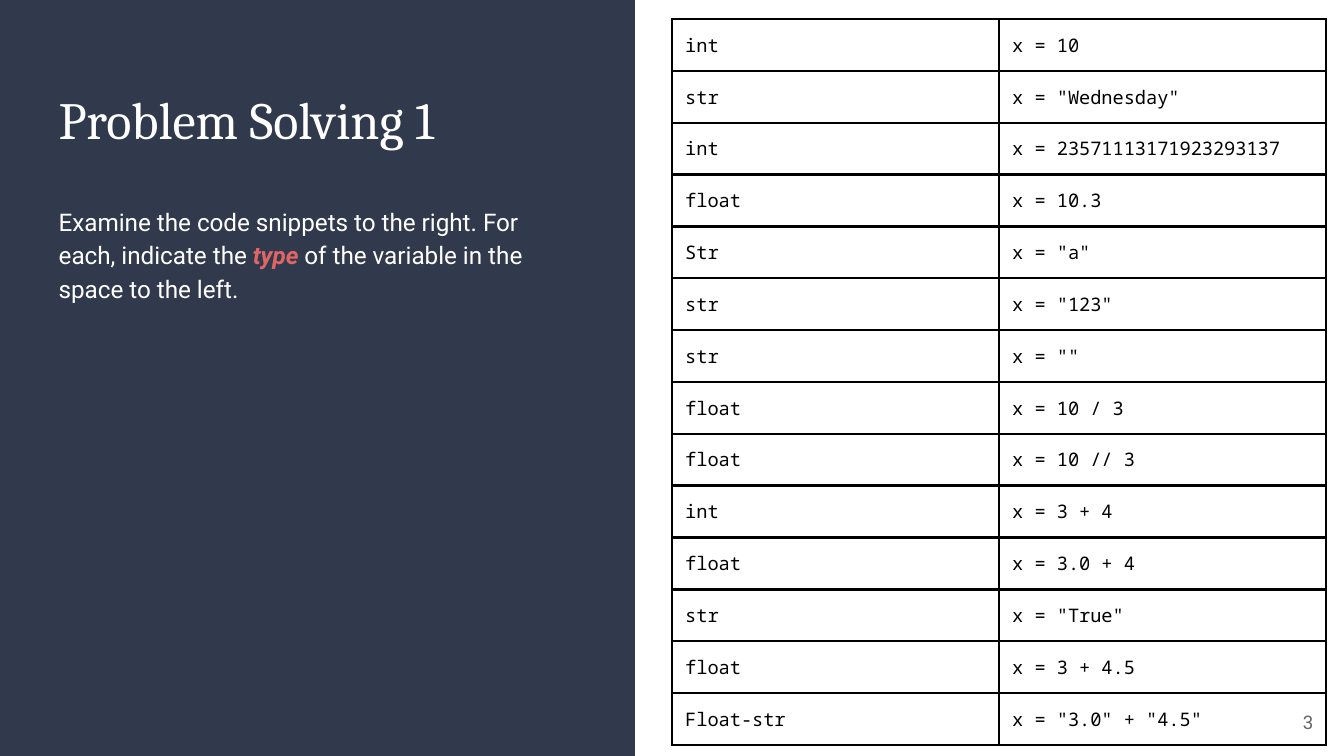
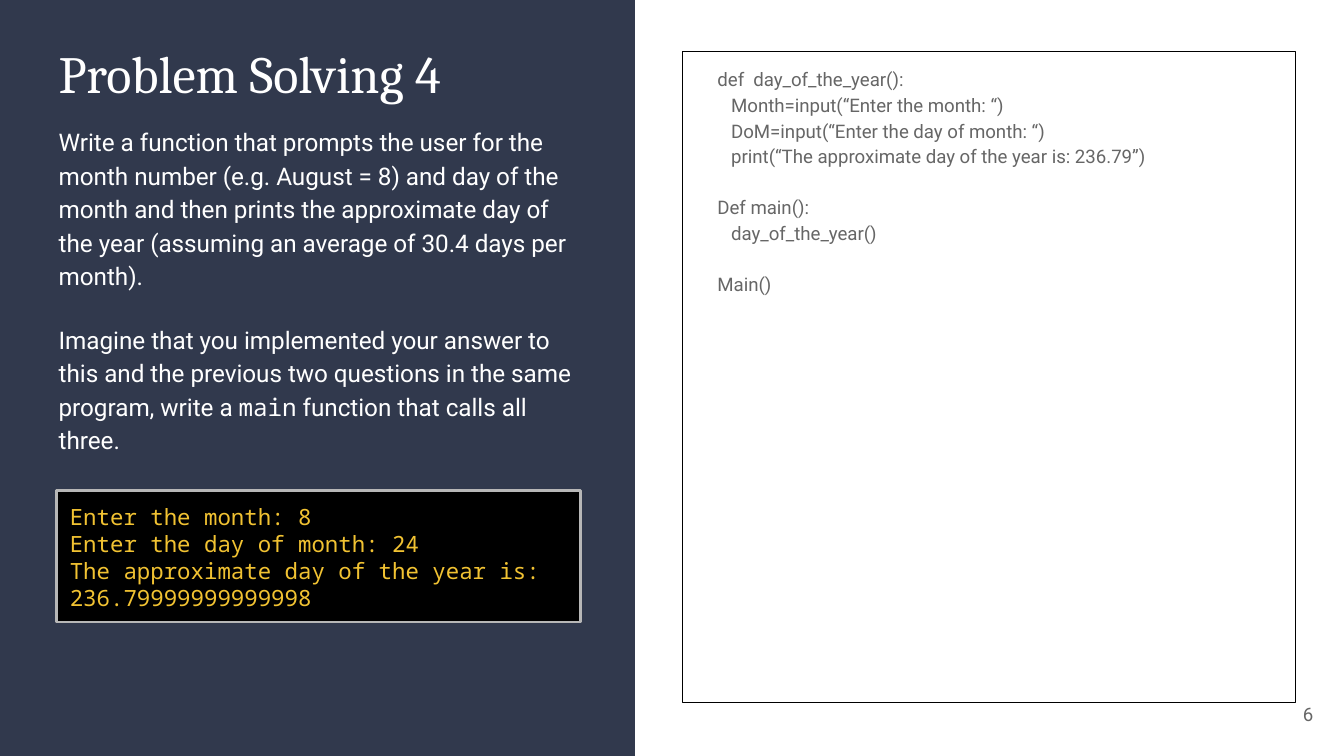
from lxml.etree import SubElement
from pptx import Presentation
from pptx.dml.color import RGBColor
from pptx.enum.shapes import MSO_SHAPE
from pptx.enum.text import MSO_ANCHOR, PP_ALIGN
from pptx.oxml.ns import qn
from pptx.util import Cm, Pt

# Content: a paragraph is a list of (text, format) spans
TYPE_TITLE = "Problem Solving 1"
TYPE_TASK = [
    ("Examine the code snippets to the right. For each, indicate the ", {}),
    ("type ", {"color": "E06666", "bold": True, "italic": True}),
    ("of the variable in the space to the left.", {}),
]
TYPE_ROWS = [
    ("int", "x = 10"),
    ("str", 'x = "Wednesday"'),
    ("int", "x = 23571113171923293137"),
    ("float", "x = 10.3"),
    ("Str", 'x = "a"'),
    ("str", 'x = "123"'),
    ("str", 'x = ""'),
    ("float", "x = 10 / 3"),
    ("float", "x = 10 // 3"),
    ("int", "x = 3 + 4"),
    ("float", "x = 3.0 + 4"),
    ("str", 'x = "True"'),
    ("float", "x = 3 + 4.5"),
    ("Float-str", 'x = "3.0" + "4.5"'),
]

DAY_TITLE = "Problem Solving 4"
DAY_TASK = [
    ("Write a function that prompts the user for the month number (e.g. August = 8) "
     "and day of the month and then prints the approximate day of the year "
     "(assuming an average of 30.4 days per month).", {}),
]
MAIN_TASK = [
    ("Imagine that you implemented your answer to this and the previous two questions "
     "in the same program, write a ", {}),
    ("main", {"font": "Noto Sans Mono"}),
    (" function that calls all three.", {}),
]
# Each block of code: (nesting level, line)
DAY_CODE = [
    [(0, "def  day_of_the_year():"),
     (1, "Month=input(“Enter the month: “)"),
     (1, "DoM=input(“Enter the day of month: “)"),
     (1, "print(“The approximate day of the year is: 236.79”)")],
    [(0, "Def main():"), (1, "day_of_the_year()")],
    [(0, "Main()")],
]
CONSOLE_LINES = [
    "Enter the month: 8",
    "Enter the day of month: 24",
    "The approximate day of the year is: 236.79999999999998",
]

# Shared style
NAVY, WHITE, BLACK, GREY, SILVER, YELLOW = (
    "31394D", "FFFFFF", "000000", "666666", "B7B7B7", "F1C232")
TITLE = {"font": "Cambria", "size": 28, "color": WHITE}
TASK = {"font": "Roboto", "size": 13, "color": WHITE, "line_spacing": 1.15}
SMALL = {"font": "Roboto", "size": 10, "color": GREY}
SNIPPET = {"font": "Noto Sans Mono", "size": 10, "color": BLACK}
CONSOLE = {"font": "Noto Sans Mono", "size": 12, "color": YELLOW}
INSET = Cm(0.25)
TEXT_LEFT, TEXT_WIDTH = 0.86, 10.29
PANEL_WIDTH = 12
CODE_MARGIN, CODE_HANGING, CODE_STEP = 1.27, -0.86, 0.26
CODE_GAP = 13.5


def rgb(value):
    return RGBColor.from_string(value)


def write(frame, content, first=True, font="Roboto", size=10, color=BLACK,
          bold=False, italic=False, align=PP_ALIGN.LEFT,
          line_spacing=None, before=0, after=0):
    """Write one paragraph, given as a string or as a list of spans."""
    para = frame.paragraphs[0] if first else frame.add_paragraph()
    para.alignment = align
    para.line_spacing = line_spacing
    para.space_before, para.space_after = Pt(before), Pt(after)
    spans = [(content, {})] if isinstance(content, str) else content
    base = {"font": font, "size": size, "color": color, "bold": bold, "italic": italic}
    for text, changes in spans:
        style = base | changes
        span = para.add_run()
        span.text = text
        span.font.name = style["font"]
        span.font.size = Pt(style["size"])
        span.font.color.rgb = rgb(style["color"])
        span.font.bold, span.font.italic = style["bold"], style["italic"]
    return para


def set_up_frame(frame, anchor):
    frame.word_wrap = True
    frame.vertical_anchor = anchor
    frame.margin_left = frame.margin_right = INSET
    frame.margin_top = frame.margin_bottom = INSET
    return frame


def add_text_frame(page, left, top, width, height, anchor=MSO_ANCHOR.TOP):
    box = page.shapes.add_textbox(Cm(left), Cm(top), Cm(width), Cm(height))
    return set_up_frame(box.text_frame, anchor)


def add_box(page, left, top, width, height, fill=None, line=None, line_width=0.75):
    box = page.shapes.add_shape(MSO_SHAPE.RECTANGLE, Cm(left), Cm(top), Cm(width), Cm(height))
    box.shadow.inherit = False
    if fill:
        box.fill.solid()
        box.fill.fore_color.rgb = rgb(fill)
    else:
        box.fill.background()
    if line:
        box.line.color.rgb = rgb(line)
        box.line.width = Pt(line_width)
    else:
        box.line.fill.background()
    return set_up_frame(box.text_frame, MSO_ANCHOR.TOP)


def add_page(deck, title, title_top, number, number_top):
    """Add a page with the navy panel, its title and the page number."""
    page = deck.slides.add_slide(deck.slide_layouts[6])
    add_box(page, 0, 0, PANEL_WIDTH, deck.slide_height.cm, fill=NAVY)
    write(add_text_frame(page, TEXT_LEFT, title_top, TEXT_WIDTH, 1.78), title, **TITLE)
    number_frame = add_text_frame(page, 23.55, number_top, 1.52, 1.09, MSO_ANCHOR.MIDDLE)
    write(number_frame, number, align=PP_ALIGN.RIGHT, **SMALL)
    return page


def set_borders(cell, color, width):
    properties = cell._tc.get_or_add_tcPr()
    for side in ("a:lnL", "a:lnR", "a:lnT", "a:lnB"):
        line = SubElement(properties, qn(side), w=str(Pt(width)))
        fill = SubElement(line, qn("a:solidFill"))
        SubElement(fill, qn("a:srgbClr"), val=color)


def add_snippet_table(page, rows, left, top, column_width, row_height):
    columns = len(rows[0])
    table = page.shapes.add_table(
        len(rows), columns, Cm(left), Cm(top),
        Cm(column_width * columns), Cm(row_height * len(rows))).table
    table.first_row = table.horz_banding = False
    for column in table.columns:
        column.width = Cm(column_width)
    for row, texts in zip(table.rows, rows):
        row.height = Cm(row_height)
        for cell, text in zip(row.cells, texts):
            cell.margin_left = cell.margin_right = INSET
            cell.margin_top = cell.margin_bottom = INSET
            set_borders(cell, BLACK, 1.5)
            cell.fill.background()
            write(cell.text_frame, text, **SNIPPET)


def write_code(frame, blocks):
    first = True
    for block in blocks:
        for index, (level, text) in enumerate(block):
            gap = CODE_GAP if index == 0 and not first else 0
            para = write(frame, text, first=first, line_spacing=1.15, before=gap, **SMALL)
            properties = para._p.get_or_add_pPr()
            properties.set("marL", str(Cm(CODE_MARGIN)))
            properties.set("indent", str(Cm(CODE_HANGING + level * CODE_STEP)))
            first = False


def build_type_page(deck):
    page = add_page(deck, TYPE_TITLE, 1.4, "3", 13.11)
    write(add_text_frame(page, TEXT_LEFT, 3.58, TEXT_WIDTH, 7.49), TYPE_TASK, after=16, **TASK)
    add_snippet_table(page, TYPE_ROWS, 12.7, 0.36, 6.18, 0.98)


def build_day_page(deck):
    page = add_page(deck, DAY_TITLE, 0.53, "6", 12.95)
    write_code(add_box(page, 12.9, 0.97, 11.58, 12.31, line=BLACK), DAY_CODE)

    # Task on the panel
    task = add_text_frame(page, TEXT_LEFT, 2.08, TEXT_WIDTH, 6.55)
    write(task, DAY_TASK, **TASK)
    write(task, MAIN_TASK, first=False, before=16, after=16, **TASK)

    # Sample run
    console = add_box(page, 1.07, 9.27, 9.91, 2.49, fill=BLACK, line=SILVER, line_width=1.5)
    for index, text in enumerate(CONSOLE_LINES):
        write(console, text, first=index == 0, **CONSOLE)


def main():
    deck = Presentation()
    deck.slide_width, deck.slide_height = Cm(25.4), Cm(14.29)
    build_type_page(deck)
    build_day_page(deck)
    deck.save("out.pptx")


if __name__ == "__main__":
    main()
